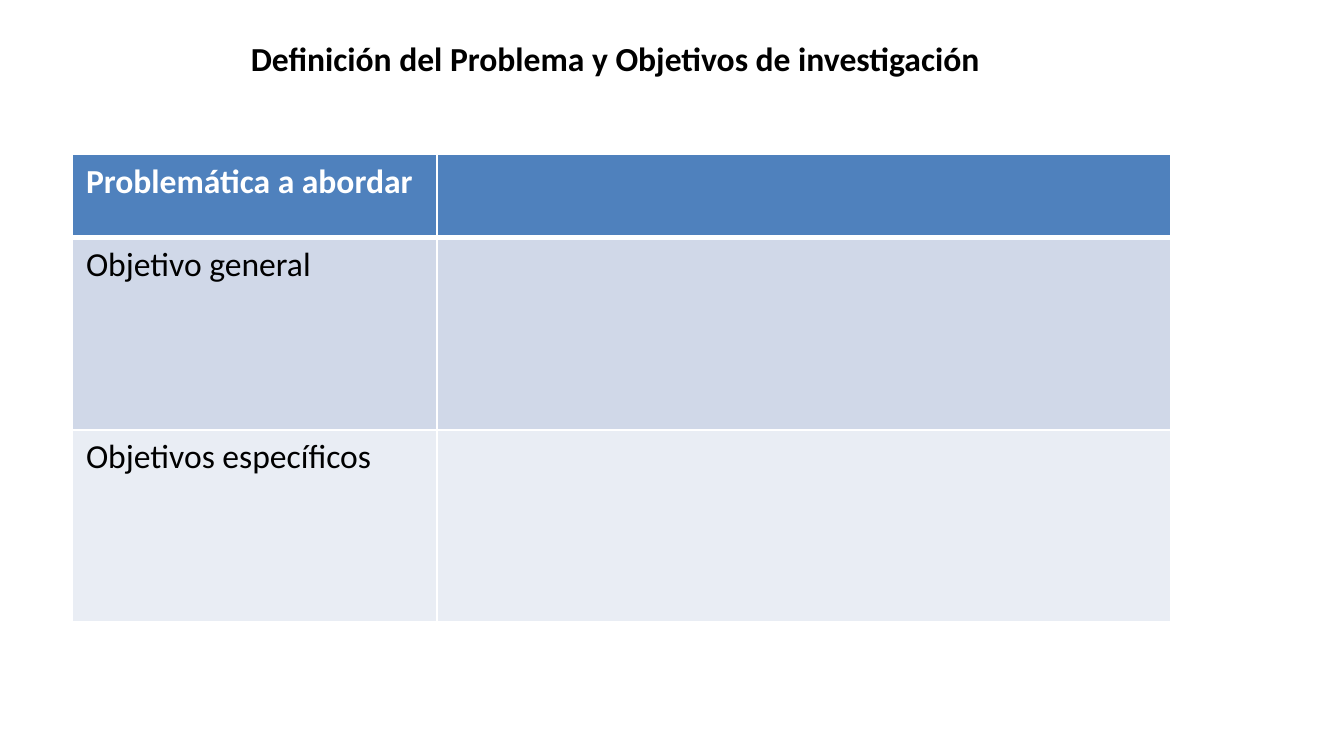
from dataclasses import dataclass

from lxml.etree import SubElement
from pptx import Presentation
from pptx.dml.color import RGBColor
from pptx.enum.text import PP_ALIGN
from pptx.oxml.ns import qn
from pptx.util import Inches, Pt


@dataclass(frozen=True)
class Theme:
    font: str = "Calibri"
    size: int = 18
    ink: str = "000000"
    white: str = "FFFFFF"
    header: str = "4F81BD"
    bands: tuple = ("D0D8E8", "E9EDF4")
    thin: int = 1
    thick: int = 3


THEME = Theme()
ROW_LABELS = ["Problemática a abordar", "Objetivo general", "Objetivos específicos"]
ROW_HEIGHTS = [0.62, 1.43, 1.43]
COLUMN_WIDTHS = [2.71, 5.46]


def write_text(frame, text, color=THEME.ink, bold=False, align=PP_ALIGN.LEFT):
    para = frame.paragraphs[0]
    para.alignment = align
    # Formatting the paragraph keeps empty cells at the same type size
    para.font.size = Pt(THEME.size)
    if text:
        span = para.add_run()
        span.text = text
        span.font.name = THEME.font
        span.font.size = Pt(THEME.size)
        span.font.bold = bold
        span.font.color.rgb = RGBColor.from_string(color)


def set_borders(cell, top, bottom):
    properties = cell._tc.get_or_add_tcPr()
    widths = {"a:lnL": THEME.thin, "a:lnR": THEME.thin, "a:lnT": top, "a:lnB": bottom}
    for tag, width in widths.items():
        line = SubElement(properties, qn(tag), w=str(Pt(width)))
        fill = SubElement(line, qn("a:solidFill"))
        SubElement(fill, qn("a:srgbClr"), val=THEME.white)


def add_title(page, text):
    box = page.shapes.add_textbox(Inches(0.45), Inches(0.24), Inches(8.26), Inches(0.38))
    frame = box.text_frame
    frame.word_wrap = True
    frame.margin_left = frame.margin_right = Inches(0.07)
    frame.margin_top = frame.margin_bottom = Inches(0.04)
    write_text(frame, text, bold=True, align=PP_ALIGN.CENTER)


def add_objectives_table(page):
    table = page.shapes.add_table(
        len(ROW_LABELS), len(COLUMN_WIDTHS),
        Inches(0.54), Inches(1.15),
        Inches(sum(COLUMN_WIDTHS)), Inches(sum(ROW_HEIGHTS)),
    ).table
    for column, width in zip(table.columns, COLUMN_WIDTHS):
        column.width = Inches(width)

    for index, (row, height, label) in enumerate(zip(table.rows, ROW_HEIGHTS, ROW_LABELS)):
        row.height = Inches(height)
        is_header = index == 0
        fill = THEME.header if is_header else THEME.bands[(index - 1) % 2]
        for cell, text in zip(row.cells, (label, "")):
            # The thick rule lies between the header and the first band
            set_borders(
                cell,
                top=THEME.thick if index == 1 else THEME.thin,
                bottom=THEME.thick if is_header else THEME.thin,
            )
            cell.fill.solid()
            cell.fill.fore_color.rgb = RGBColor.from_string(fill)
            write_text(
                cell.text_frame, text,
                color=THEME.white if is_header else THEME.ink,
                bold=is_header,
            )


def main():
    deck = Presentation()
    # Widescreen page, 16:9
    deck.slide_width = Inches(10)
    deck.slide_height = Inches(10 * 9 / 16)
    page = deck.slides.add_slide(deck.slide_layouts[6])

    # Table of the problem and the objectives
    add_objectives_table(page)

    # Heading
    add_title(page, "Definición del Problema y Objetivos de investigación")

    deck.save("out.pptx")


if __name__ == "__main__":
    main()
